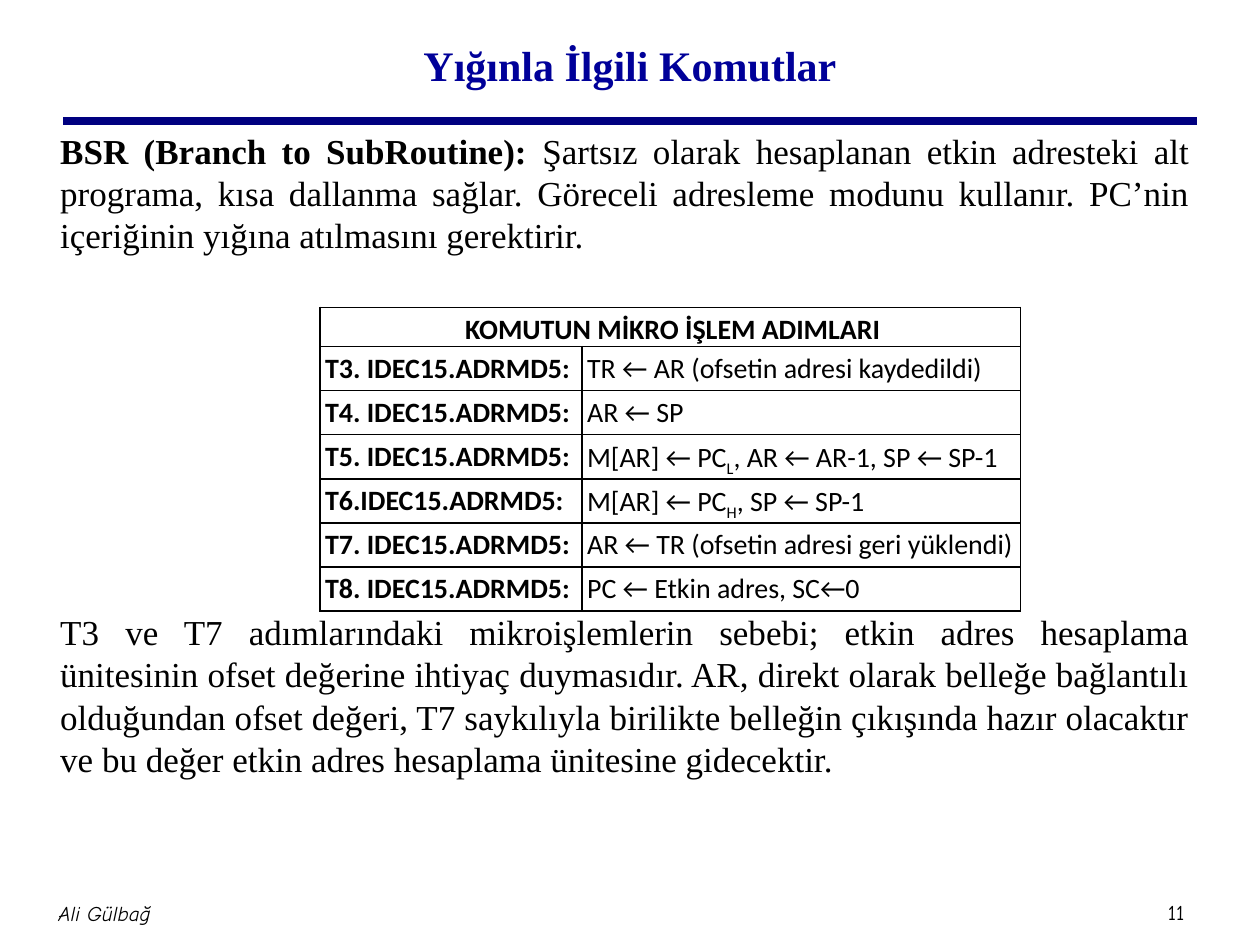
from lxml.etree import SubElement
from pptx import Presentation
from pptx.dml.color import RGBColor
from pptx.enum.shapes import MSO_CONNECTOR
from pptx.enum.text import MSO_ANCHOR as Anchor, PP_ALIGN as Align
from pptx.oxml import parse_xml
from pptx.oxml.ns import nsdecls, qn
from pptx.util import Inches, Pt

BLACK = RGBColor(0, 0, 0)
NAVY = RGBColor(0, 0, 0x80)
TITLE_BLUE = RGBColor(0, 0, 0x99)
SERIF = "Times New Roman"
FOOTER_FONT = "Comic Neue"

BRANCH_TERM = "BSR (Branch to SubRoutine): "
BRANCH_TEXT = (
    "Şartsız olarak hesaplanan etkin adresteki alt programa, kısa dallanma sağlar. "
    "Göreceli adresleme modunu kullanır. PC’nin içeriğinin yığına atılmasını gerektirir."
)
REASON_TEXT = (
    "T3 ve T7 adımlarındaki mikroişlemlerin sebebi; etkin adres hesaplama ünitesinin "
    "ofset değerine ihtiyaç duymasıdır. AR, direkt olarak belleğe bağlantılı olduğundan "
    "ofset değeri, T7 saykılıyla birilikte belleğin çıkışında hazır olacaktır ve bu değer "
    "etkin adres hesaplama ünitesine gidecektir."
)
TABLE_TITLE = "KOMUTUN MİKRO İŞLEM ADIMLARI"
STEPS = [
    ("T3. IDEC15.ADRMD5:", ["TR ← AR (ofsetin adresi kaydedildi)"]),
    ("T4. IDEC15.ADRMD5:", ["AR ← SP"]),
    ("T5. IDEC15.ADRMD5:", ["M[AR] ← PC", "L", ", AR ← AR-1, SP ← SP-1"]),
    ("T6.IDEC15.ADRMD5:", ["M[AR] ← PC", "H", ", SP ← SP-1"]),
    ("T7. IDEC15.ADRMD5:", ["AR ← TR (ofsetin adresi geri yüklendi)"]),
    ("T8. IDEC15.ADRMD5:", ["PC ← Etkin adres, SC←0"]),
]


def style(font, name, size, color=BLACK, bold=False, italic=False):
    font.name = name
    font.size = Pt(size)
    font.color.rgb = color
    font.bold = bold
    font.italic = italic


def add_text_frame(slide, left, top, width, height, anchor=Anchor.TOP):
    box = slide.shapes.add_textbox(Inches(left), Inches(top), Inches(width), Inches(height))
    frame = box.text_frame
    frame.word_wrap = True
    frame.vertical_anchor = anchor
    return frame


def add_label(slide, text, bounds, name, size, color=BLACK, bold=False, italic=False):
    frame = add_text_frame(slide, *bounds, anchor=Anchor.MIDDLE)
    frame.margin_left = frame.margin_right = Inches(0.05)
    paragraph = frame.paragraphs[0]
    paragraph.text = text
    paragraph.alignment = Align.CENTER
    style(paragraph.font, name, size, color, bold, italic)


def add_rule(slide):
    rule = slide.shapes.add_connector(
        MSO_CONNECTOR.STRAIGHT, Inches(0.5), Inches(0.96), Inches(9.5), Inches(0.96)
    )
    rule.line.color.rgb = NAVY
    rule.line.width = Pt(4.5)
    SubElement(rule._element.spPr, qn("a:effectLst"))


def add_body(slide):
    frame = add_text_frame(slide, 0.38, 0.98, 9.16, 6.05)
    description = frame.paragraphs[0]
    description.add_run().text = BRANCH_TERM
    description.add_run().text = BRANCH_TEXT
    reason = frame.add_paragraph()
    reason.text = REASON_TEXT
    reason.space_before = Pt(203)
    for paragraph in frame.paragraphs:
        paragraph.alignment = Align.JUSTIFY
        style(paragraph.font, SERIF, 20)
    description.runs[0].font.bold = True


def add_borders(cell):
    properties = cell._tc.get_or_add_tcPr()
    for index, side in enumerate(("lnL", "lnR", "lnT", "lnB")):
        properties.insert(index, parse_xml(
            f'<a:{side} {nsdecls("a")} w="12700"><a:solidFill>'
            f'<a:srgbClr val="{BLACK}"/></a:solidFill></a:{side}>'
        ))


def fill_cell(cell, parts, bold=False, alignment=Align.LEFT):
    cell.margin_left = Inches(0.04)
    cell.margin_right = cell.margin_top = cell.margin_bottom = 0
    paragraph = cell.text_frame.paragraphs[0]
    paragraph.alignment = alignment
    paragraph.line_spacing = 1.15
    style(paragraph.font, "Calibri", 16, bold=bold)
    for index, part in enumerate(parts):
        run = paragraph.add_run()
        run.text = part
        if index == 1:
            run.font._element.set("baseline", "-25000")


def add_steps_table(slide):
    table = slide.shapes.add_table(
        len(STEPS) + 1, 2, Inches(2.54), Inches(2.44), Inches(5.56), Inches(2.41)
    ).table
    table.first_row = False
    table.horz_banding = False
    for column, width in zip(table.columns, (2.08, 3.48)):
        column.width = Inches(width)
    for index, row in enumerate(table.rows):
        row.height = Inches(0.35 if index else 0.31)
    for cell in table.iter_cells():
        cell.fill.background()
        add_borders(cell)
    table.cell(0, 0).merge(table.cell(0, 1))
    fill_cell(table.cell(0, 0), [TABLE_TITLE], bold=True, alignment=Align.CENTER)
    for index, (condition, operation) in enumerate(STEPS, start=1):
        fill_cell(table.cell(index, 0), [condition], bold=True)
        fill_cell(table.cell(index, 1), operation)


def main():
    presentation = Presentation()
    presentation.slide_width = Inches(10)
    presentation.slide_height = Inches(7.5)
    slide = presentation.slides.add_slide(presentation.slide_layouts[6])
    add_rule(slide)
    add_label(slide, "11", (9.1, 7.09, 0.47, 0.3), FOOTER_FONT, 12)
    add_label(slide, "Ali Gülbağ", (-0.96, 7, 3.58, 0.5), FOOTER_FONT, 12, italic=True)
    add_label(slide, "Yığınla İlgili Komutlar", (0.75, 0.08, 8.5, 0.86),
              SERIF, 24, TITLE_BLUE, bold=True)
    add_body(slide)
    add_steps_table(slide)
    presentation.save("out.pptx")


if __name__ == "__main__":
    main()
